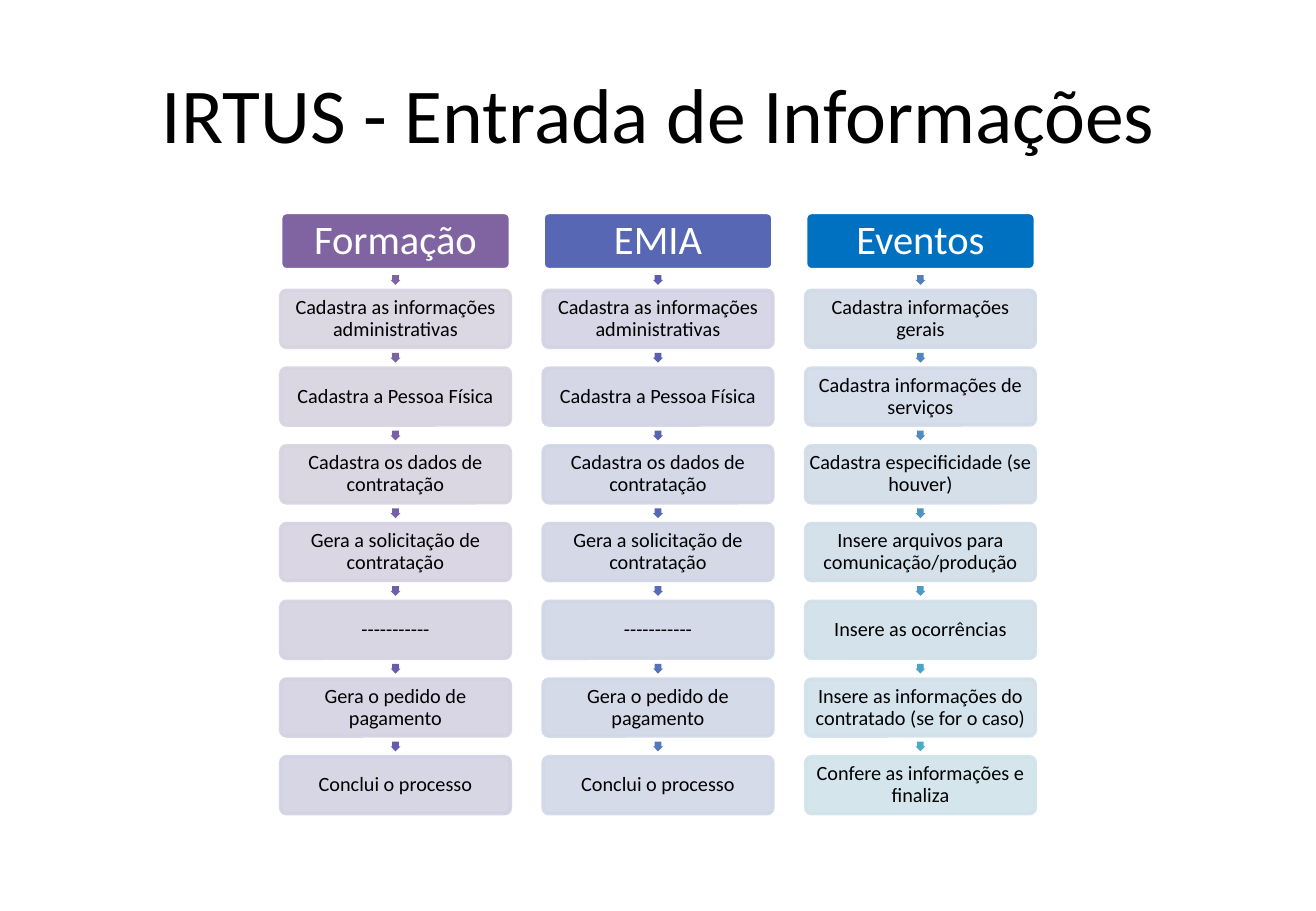
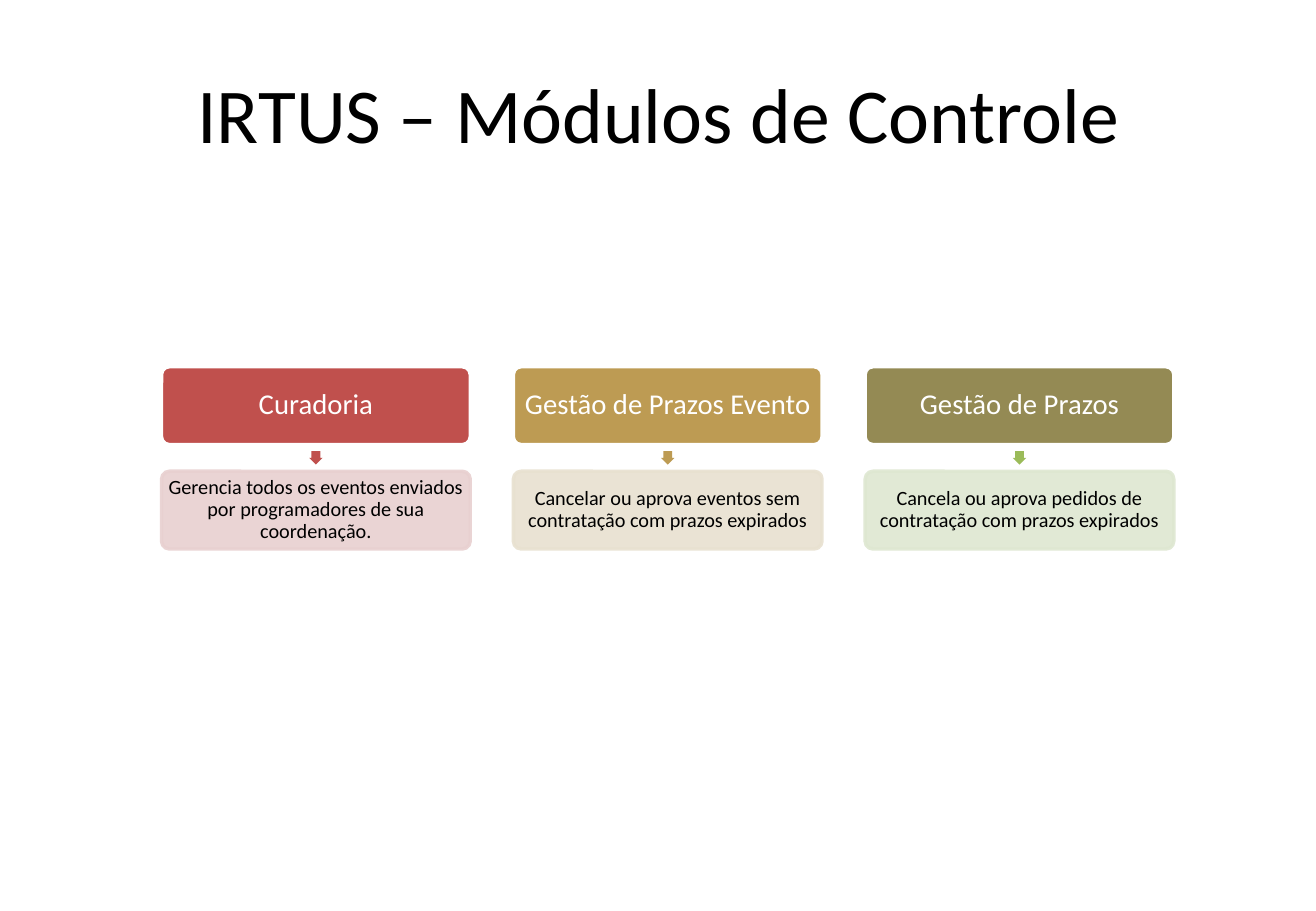
"""Builds two slides of process columns: information entry and control modules."""
from colorsys import hls_to_rgb, rgb_to_hls

from lxml import etree
from pptx import Presentation
from pptx.dml.color import RGBColor
from pptx.enum.shapes import MSO_SHAPE
from pptx.enum.text import MSO_ANCHOR, PP_ALIGN
from pptx.oxml.ns import qn
from pptx.util import Emu, Pt

PX = Emu(4572)
FONT = "Calibri"
ROUNDED = MSO_SHAPE.ROUNDED_RECTANGLE
DOWN_ARROW = MSO_SHAPE.DOWN_ARROW
MIDDLE = MSO_ANCHOR.MIDDLE
CENTER = PP_ALIGN.CENTER

BLACK = RGBColor(0x00, 0x00, 0x00)
WHITE = RGBColor(0xFF, 0xFF, 0xFF)
PURPLE = RGBColor(0x80, 0x64, 0xA2)
INDIGO = RGBColor(0x57, 0x67, 0xB4)
BLUE = RGBColor(0x00, 0x70, 0xC0)
AQUA = RGBColor(0x4B, 0xAC, 0xC6)
PALE_PURPLE = RGBColor(0xD8, 0xD3, 0xE0)
PALE_AQUA = RGBColor(0xD0, 0xE3, 0xEA)
RED = RGBColor(0xC0, 0x50, 0x4D)
GOLD = RGBColor(0xBD, 0x9B, 0x53)
OLIVE = RGBColor(0x94, 0x8A, 0x54)
GREEN = RGBColor(0x9B, 0xBB, 0x59)
PALE_RED = RGBColor(0xE8, 0xD0, 0xD0)
PALE_GREEN = RGBColor(0xDE, 0xE7, 0xD1)

HIRING_STEPS = [
    "Cadastra as informações administrativas",
    "Cadastra a Pessoa Física",
    "Cadastra os dados de contratação",
    "Gera a solicitação de contratação",
    "-----------",
    "Gera o pedido de pagamento",
    "Conclui o processo",
]
EVENT_STEPS = [
    "Cadastra informações gerais",
    "Cadastra informações de serviços",
    "Cadastra especificidade (se houver)",
    "Insere arquivos para comunicação/produção",
    "Insere as ocorrências",
    "Insere as informações do contratado (se for o caso)",
    "Confere as informações e finaliza",
]
SLIDES = [
    {
        "title": "IRTUS - Entrada de Informações",
        "left": 462, "top": 350, "width": 378, "height": 94,
        "column_pitch": 432, "row_pitch": 128, "arrow": 16, "heading_size": 24,
        "arrow_colors": (PURPLE, AQUA), "step_colors": (PALE_PURPLE, PALE_AQUA),
        "columns": [
            ("Formação", PURPLE, HIRING_STEPS),
            ("EMIA", INDIGO, HIRING_STEPS),
            ("Eventos", BLUE, EVENT_STEPS),
        ],
    },
    {
        "title": "IRTUS – Módulos de Controle",
        "left": 266, "top": 604, "width": 508, "height": 128,
        "column_pitch": 579, "row_pitch": 172, "arrow": 22, "heading_size": 17,
        "arrow_colors": (RED, GREEN), "step_colors": (PALE_RED, PALE_GREEN),
        "columns": [
            ("Curadoria", RED,
             ["Gerencia todos os eventos enviados por programadores de sua coordenação."]),
            ("Gestão de Prazos Evento", GOLD,
             ["Cancelar ou aprova eventos sem contratação com prazos expirados"]),
            ("Gestão de Prazos", OLIVE,
             ["Cancela ou aprova pedidos de contratação com prazos expirados"]),
        ],
    },
]


def blend(colors, share):
    """Return the colour at a share of the way between two, by hue."""
    start, end = (rgb_to_hls(*(part / 255 for part in color)) for color in colors)
    mixed = (a + (b - a) * share for a, b in zip(start, end))
    return RGBColor(*(round(part * 255) for part in hls_to_rgb(*mixed)))


def write_text(shape, text, size, color, inset, spacing):
    """Put one centred paragraph into a shape."""
    frame = shape.text_frame
    frame_format = {
        "word_wrap": True, "vertical_anchor": MIDDLE,
        "margin_left": inset * PX, "margin_right": inset * PX,
        "margin_top": inset * PX, "margin_bottom": inset * PX,
    }
    for name, value in frame_format.items():
        setattr(frame, name, value)
    paragraph = frame.paragraphs[0]
    paragraph.alignment = CENTER
    paragraph.line_spacing = spacing
    run = paragraph.add_run()
    run.text = text
    for name, value in {"name": FONT, "size": Pt(size)}.items():
        setattr(run.font, name, value)
    run.font.color.rgb = color


presentation = Presentation()
presentation.slide_width = 2166 * PX
presentation.slide_height = 1500 * PX

for content in SLIDES:
    slide = presentation.slides.add_slide(presentation.slide_layouts[6])
    title = slide.shapes.add_textbox(108 * PX, 60 * PX, 1950 * PX, 250 * PX)
    write_text(title, content["title"], 46, BLACK, 10, 1.0)

    width, height, arrow_size = content["width"], content["height"], content["arrow"]
    arrow_gap = (content["row_pitch"] - height - arrow_size) // 2
    last_step = sum(len(steps) for _, _, steps in content["columns"]) - 1
    step_number = 0

    for column, (heading, heading_color, steps) in enumerate(content["columns"]):
        left = content["left"] + column * content["column_pitch"]
        for row, text in enumerate([heading] + steps):
            top = content["top"] + row * content["row_pitch"]
            is_heading = row == 0
            share = step_number / last_step
            fill_color = heading_color if is_heading else blend(content["step_colors"], share)

            box = slide.shapes.add_shape(ROUNDED, left * PX, top * PX, width * PX, height * PX)
            box.shadow.inherit = False
            box.adjustments[0] = 0.1
            box.fill.solid()
            box.fill.fore_color.rgb = fill_color
            box.line.color.rgb = WHITE if is_heading else fill_color
            box.line.width = Pt(2)
            if is_heading:
                write_text(box, text, content["heading_size"], WHITE, 4, 0.9)
                continue

            for color_element in box.element.spPr.iter(qn("a:srgbClr")):
                etree.SubElement(color_element, qn("a:alpha"), val="90000")
            write_text(box, text, 12, BLACK, 3, 0.9)

            arrow = slide.shapes.add_shape(
                DOWN_ARROW, (left + (width - arrow_size) // 2) * PX,
                (top - arrow_gap - arrow_size) * PX, arrow_size * PX, arrow_size * PX)
            arrow.shadow.inherit = False
            arrow.adjustments[0] = 0.67
            arrow.adjustments[1] = 0.5
            arrow.fill.solid()
            arrow.fill.fore_color.rgb = blend(content["arrow_colors"], share)
            arrow.line.fill.background()
            step_number += 1

presentation.save("out.pptx")
